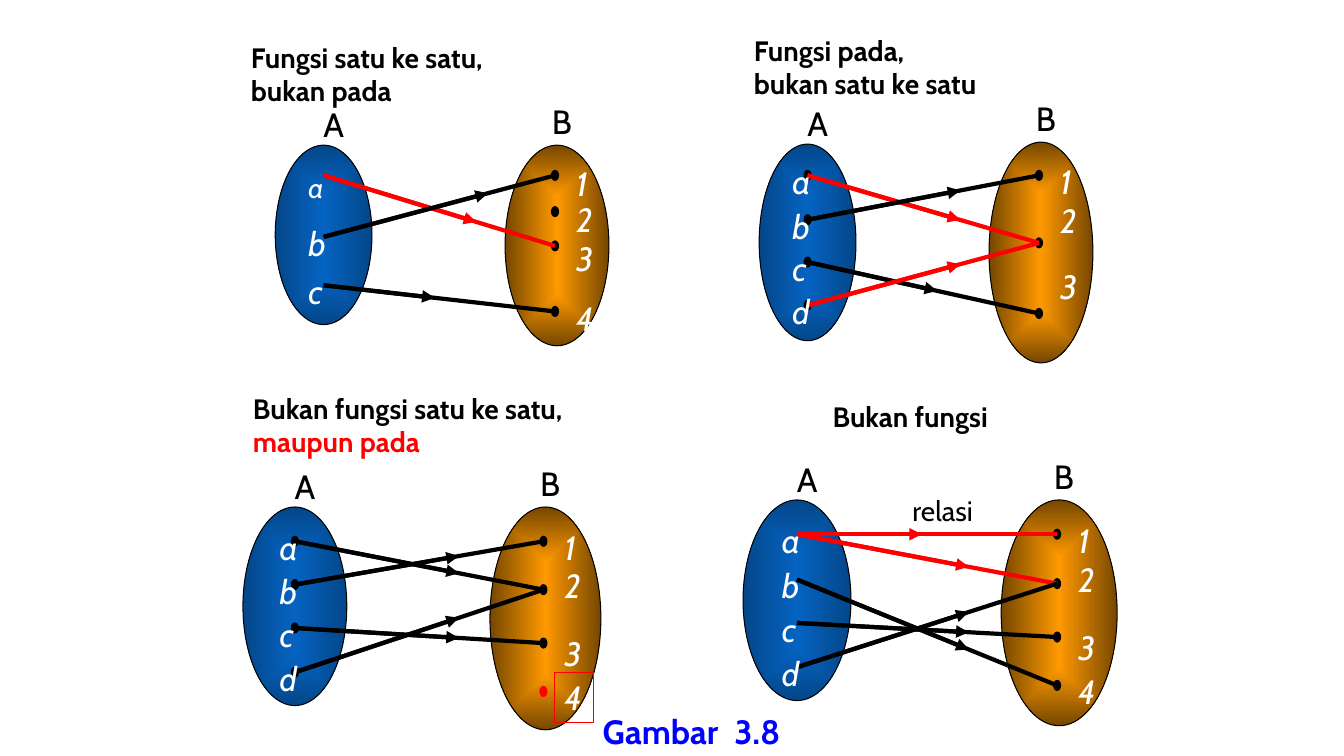
"""Build the slide of four arrow diagrams that compare kinds of functions."""
import pptx
import pptx.util
import pptx.dml.color
import pptx.enum.shapes
import pptx.enum.text
import pptx.oxml.ns
from lxml import etree

Inches = pptx.util.Inches
Pt = pptx.util.Pt
RGBColor = pptx.dml.color.RGBColor
qn = pptx.oxml.ns.qn
OVAL = pptx.enum.shapes.MSO_SHAPE.OVAL
STRAIGHT = pptx.enum.shapes.MSO_CONNECTOR.STRAIGHT

BLACK = RGBColor(0x00, 0x00, 0x00)
WHITE = RGBColor(0xFF, 0xFF, 0xFF)
RED = RGBColor(0xFF, 0x00, 0x00)
CAPTION_BLUE = RGBColor(0x00, 0x00, 0xFF)
DOMAIN_COLOURS = (RGBColor(0x05, 0x63, 0xC1), RGBColor(0x04, 0x47, 0x8A))
CODOMAIN_COLOURS = (RGBColor(0xFF, 0x99, 0x00), RGBColor(0x76, 0x47, 0x00))
DOT_WIDTH, DOT_HEIGHT = 0.07, 0.1
USUAL_HEAD = 0.66


def add_oval(shapes, left, top, width, height, colours):
    oval = shapes.add_shape(OVAL, Inches(left), Inches(top), Inches(width), Inches(height))
    oval.shadow.inherit = False
    oval.line.width = Pt(0.75)
    if len(colours) == 1:
        oval.fill.solid()
        oval.fill.fore_color.rgb = oval.line.color.rgb = colours[0]
        return
    oval.line.color.rgb = BLACK
    oval.fill.gradient()
    for stop, colour in zip(oval.fill.gradient_stops, colours):
        stop.color.rgb = colour
    gradient = oval._element.spPr.find(qn("a:gradFill"))
    shade = etree.Element(qn("a:path"), {"path": "shape"})
    etree.SubElement(shade, qn("a:fillToRect"), dict.fromkeys("ltrb", "50000"))
    gradient.replace(gradient.find(qn("a:lin")), shade)


def add_text(shapes, left, top, width, paragraphs, size, bold=False, italic=False):
    height = 0.1 + len(paragraphs) * size / 60
    box = shapes.add_textbox(Inches(left), Inches(top), Inches(width), Inches(height))
    frame = box.text_frame
    frame.word_wrap = False
    frame.auto_size = pptx.enum.text.MSO_AUTO_SIZE.SHAPE_TO_FIT_TEXT
    for number, runs in enumerate(paragraphs):
        paragraph = frame.add_paragraph() if number else frame.paragraphs[0]
        for words, colour in runs:
            run = paragraph.add_run()
            run.text = words
            run.font.name = "Cabin"
            run.font.size = Pt(size)
            run.font.bold = bold
            run.font.italic = italic
            run.font.color.rgb = colour
    return box


diagrams = [
    {"domain": (2.73, 1.44, 0.96, 1.78), "codomain": (5.01, 1.44, 1.03, 1.99),
     "letters": [1.74, 2.35, 2.83], "numbers": [1.74, 2.1, 2.44, 3.09],
     "number_labels": [1.57, 1.92, 2.31, 2.91], "small": "a",
     "mappings": ["a3", "b1", "c4"], "red": ["a3"], "heads": {"b1": 0.71, "c4": 0.48}},
    {"domain": (2.41, 5.03, 1.03, 1.97), "codomain": (4.86, 5.03, 1.1, 2.21),
     "letters": [5.37, 5.8, 6.23, 6.67], "numbers": [5.37, 5.85, 6.38, 6.86],
     "number_labels": [5.18, 5.56, 6.23, 6.67], "dotted_letters": True,
     "mappings": ["a2", "b1", "c3", "d2"], "framed": "4"},
    {"domain": (7.37, 4.96, 1.07, 1.99), "codomain": (9.93, 4.96, 1.15, 2.24),
     "letters": [5.3, 5.75, 6.18, 6.62], "numbers": [5.3, 5.79, 6.32, 6.8],
     "number_labels": [5.11, 5.5, 6.17, 6.61],
     "mappings": ["a2", "a1", "c3", "d2", "b4"], "red": ["a1", "a2"], "heads": {"a1": 0.48}},
    {"domain": (7.53, 1.43, 0.96, 1.95), "codomain": (9.81, 1.41, 1.03, 2.19),
     "letters": [1.74, 2.18, 2.6, 3.03], "numbers": [1.74, 2.41, 3.11],
     "number_labels": [1.55, 1.93, 2.59], "dotted_letters": True,
     "mappings": ["a2", "b1", "c3", "d2"], "red": ["a2", "d2"], "heads": {"c3": 0.56}},
]

presentation = pptx.Presentation()
presentation.slide_width = Inches(13.33)
presentation.slide_height = Inches(7.5)
slide = presentation.slides.add_slide(presentation.slide_layouts[6])

for diagram in diagrams:
    parts = slide.shapes.add_group_shape().shapes
    middles = {}
    for side, colours in (("domain", DOMAIN_COLOURS), ("codomain", CODOMAIN_COLOURS)):
        add_oval(parts, *diagram[side], colours)
        left, _, width, _ = diagram[side]
        middles[side] = left + width / 2

    letters = {name: (middles["domain"], y) for name, y in zip("abcd", diagram["letters"])}
    numbers = {name: (middles["codomain"] - 0.02, y)
               for name, y in zip("1234", diagram["numbers"])}
    members = {**letters, **numbers}

    for member in members if diagram.get("dotted_letters") else numbers:
        x, y = members[member]
        colour = RED if member == diagram.get("framed") else BLACK
        add_oval(parts, x - DOT_WIDTH / 2, y - DOT_HEIGHT / 2, DOT_WIDTH, DOT_HEIGHT, [colour])

    for mapping in diagram["mappings"]:
        (x1, y1), (x2, y2) = (members[member] for member in mapping)
        head = diagram.get("heads", {}).get(mapping, USUAL_HEAD)
        for reach in (1, head):
            arrow = parts.add_connector(
                STRAIGHT, Inches(x1), Inches(y1),
                Inches(x1 + reach * (x2 - x1)), Inches(y1 + reach * (y2 - y1)))
            arrow.line.width = Pt(3)
            arrow.line.color.rgb = RED if mapping in diagram.get("red", []) else BLACK
            properties = arrow._element.spPr
            if reach == head:
                etree.SubElement(properties.find(qn("a:ln")), qn("a:tailEnd"), {"type": "triangle"})
            etree.SubElement(properties, qn("a:effectLst"))

    for name, side, shift, rise in (("A", "domain", 0.1, 0.46), ("B", "codomain", 0.15, 0.49)):
        add_text(parts, middles[side] - shift, diagram[side][1] - rise, 0.4, [[(name, BLACK)]], 24)

    label_tops = {name: y - 0.19 for name, (_, y) in letters.items()}
    label_tops.update(zip(numbers, diagram["number_labels"]))
    for member, top in label_tops.items():
        left = middles["domain"] - 0.25 if member in letters else middles["codomain"] + 0.09
        small = member == diagram.get("small")
        label = add_text(parts, left, top + 0.09 if small else top, 0.39,
                         [[(member, WHITE)]], 20 if small else 24, italic=True)
        if member == diagram.get("framed"):
            label.line.color.rgb = RED
            label.line.width = Pt(0.75)

headings = [
    (2.39, 0.35, 2.98, [[("Fungsi satu ke satu,", BLACK)], [("bukan pada", BLACK)]]),
    (2.41, 3.83, 3.89, [[("Bukan fungsi satu ke satu,", BLACK)], [("maupun pada", RED)]]),
    (7.38, 0.28, 2.84, [[("Fungsi pada,", BLACK)], [("bukan satu ke satu", BLACK)]]),
    (8.16, 3.91, 2.03, [[("Bukan fungsi", BLACK)]]),
]
for heading in headings:
    add_text(slide.shapes, *heading, 20, bold=True)

caption_words = [(words, CAPTION_BLUE) for words in ("Gambar", " ", "3.8")]
caption = add_text(slide.shapes, 5.88, 7, 2.24, [caption_words], 24, bold=True)
caption_gap = caption.text_frame.paragraphs[0].runs[1]
caption_gap._r.get_or_add_rPr().set("spc", "600")

add_text(slide.shapes, 8.95, 4.85, 0.85, [[("relasi", BLACK)]], 20)

presentation.save("out.pptx")
